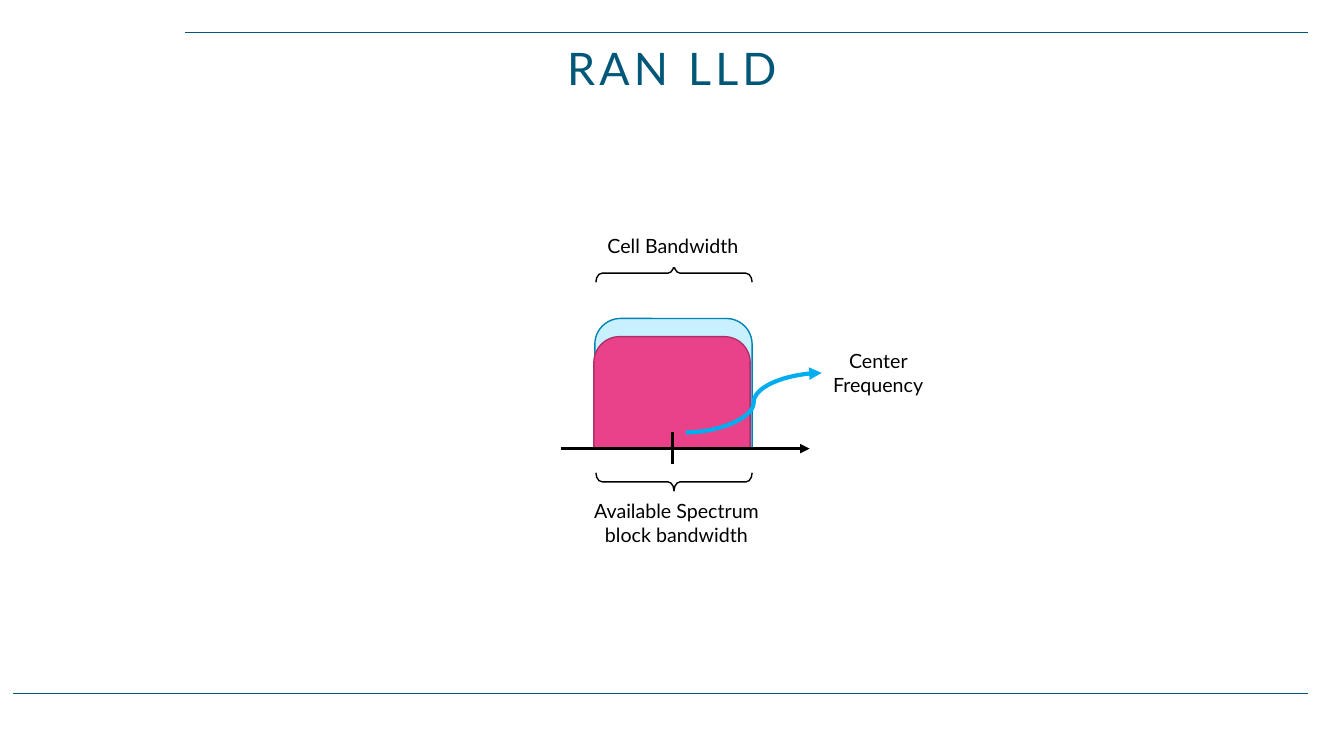
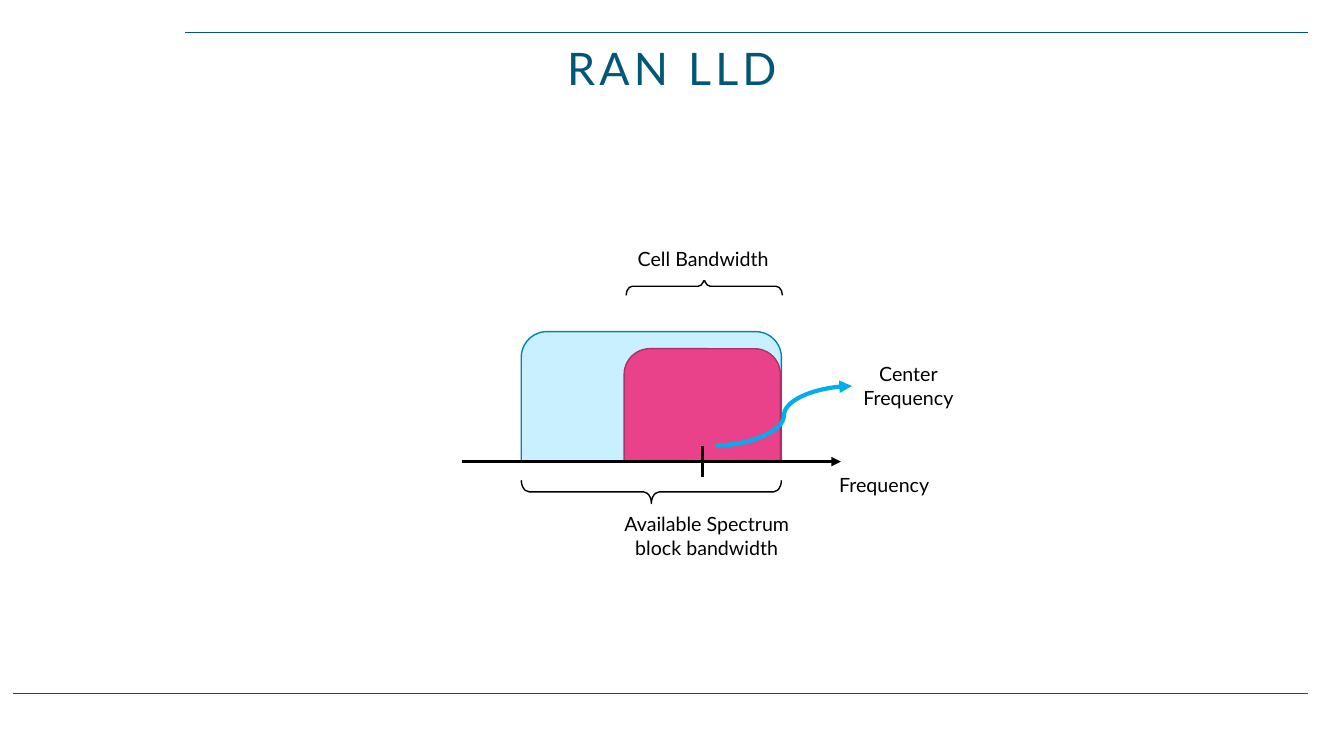
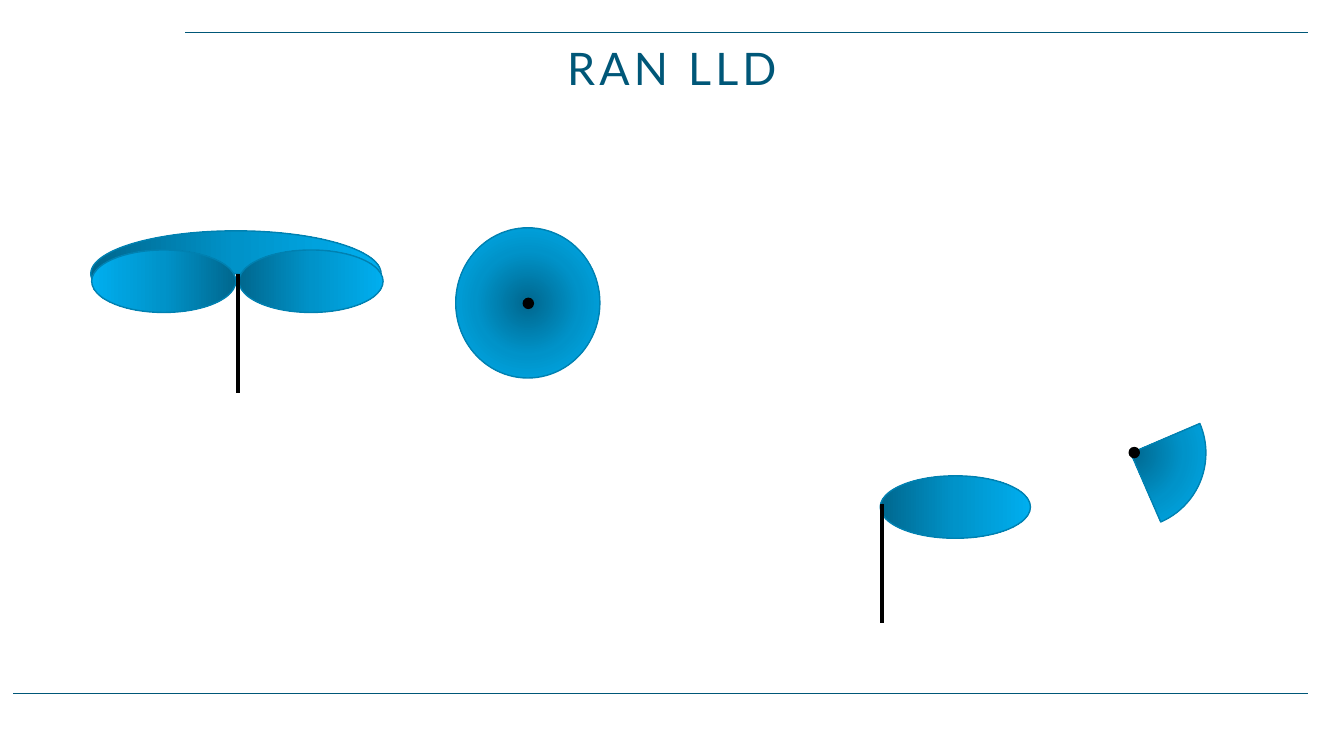
from pptx import Presentation
from pptx.dml.color import RGBColor
from pptx.enum.shapes import MSO_CONNECTOR, MSO_SHAPE
from pptx.enum.text import MSO_ANCHOR, MSO_AUTO_SIZE, PP_ALIGN
from pptx.oxml import parse_xml
from pptx.oxml.ns import nsdecls, qn
from pptx.util import Inches, Pt

WIDTH, HEIGHT = 13.33, 7.5
FONT = "Lato"
TITLE = "RAN LLD"
TEAL, BLACK, WHITE = "005778", "000000", "FFFFFF"
SKY, SKY_EDGE, PINK, PINK_EDGE = "C9F0FF", "0083B3", "EA428A", "AD3166"
ARROW_BLUE, LOBE_EDGE = "00AEEF", "0081B1"
LOBE_STOPS = ((0, "00678E"), (50, "0093C9"), (100, "00AEEF"))

# (x1, y1, x2, y2)
RULES = [(1.84, 0.32, 12.97, 0.32), (0.13, 6.88, 12.97, 6.88)]

# Horizontal positions are offsets from the centre frequency; origin is its point on the axis.
SPECTRUM_SLIDES = [
    {
        "origin": (6.67, 4.45),
        "block": (-0.77, 0.79),
        "cell_top": -1.11,
        "axis": (-1.11, 1.36),
        "block_brace": (-0.76, 0.79, 0.33, 0.18),
        "labels": {"Center Frequency": (1.48, -1.02, 1.12, 0.53)},
    },
    {
        "origin": (6.97, 4.58),
        "block": (-1.8, 0.78),
        "cell_top": -1.12,
        "axis": (-2.39, 1.37),
        "block_brace": (-1.8, 0.78, 0.3, 0.23),
        "labels": {
            "Frequency": (1.24, 0.09, 1.12, 0.28),
            "Center\nFrequency": (1.48, -1.02, 1.12, 0.53),
        },
    },
]
SHARED_LABELS = {
    "Available Spectrum block bandwidth": (-1.07, 0.47, 2.22, 0.53),
    "Cell Bandwidth": (-0.77, -2.23, 1.55, 0.43),
}
CELL_BRACE = (-0.76, 0.79, -1.74, 0.18)

# Antenna patterns: (preset, box, gradient, flipped, adjustments)
LOBES = [
    (MSO_SHAPE.CHORD, None, None, False, ()),
][:0] + [
    ("pie", (0.9, 2.29, 2.88, 0.85), "linear", False, (101.99, 4.3)),
    ("ellipse", (4.52, 2.26, 1.43, 1.49), "circle", False, ()),
    ("ellipse", (2.37, 2.48, 1.43, 0.62), "linear", False, ()),
    ("ellipse", (0.91, 2.48, 1.43, 0.62), "linear", True, ()),
    ("pie", (10.47, 3.75, 1.49, 1.49), "circle", True, (68.1, 121.93)),
    ("ellipse", (8.73, 4.72, 1.49, 0.62), "linear", False, ()),
]
PRESETS = {"pie": MSO_SHAPE.PIE, "ellipse": MSO_SHAPE.OVAL}
MASTS = [(2.36, 2.72), (8.75, 5.0)]
MAST_HEIGHT = 1.18
SITE_DOTS = [(5.24, 3.01), (11.25, 4.49)]
DOT = 0.1


def color(value):
    return RGBColor.from_string(value)


def add_shape(slide, preset, box, fill=None, edge=None):
    shape = slide.shapes.add_shape(preset, *map(Inches, box))
    shape.shadow.inherit = False
    for part, value in ((shape.fill, fill), (shape.line.fill, edge)):
        if value:
            part.solid()
            part.fore_color.rgb = color(value)
        else:
            part.background()
    if edge:
        shape.line.width = Pt(1)
    return shape


def add_line(slide, ends, line_color, width, arrow=False, kind=MSO_CONNECTOR.STRAIGHT):
    connector = slide.shapes.add_connector(kind, *map(Inches, ends))
    connector.line.color.rgb = color(line_color)
    connector.line.width = Pt(width)
    if arrow:
        connector.line._get_or_add_ln().append(
            parse_xml(f'<a:tailEnd {nsdecls("a")} type="triangle"/>'))
    connector._element.spPr.append(parse_xml(f'<a:effectLst {nsdecls("a")}/>'))
    return connector


def format_text(frame, anchor, size, text_color):
    frame.word_wrap = True
    frame.auto_size = MSO_AUTO_SIZE.NONE
    frame.vertical_anchor = anchor
    for paragraph in frame.paragraphs:
        paragraph.alignment = PP_ALIGN.CENTER
        for run in paragraph.runs:
            for name, value in {"name": FONT, "size": Pt(size), "bold": False}.items():
                setattr(run.font, name, value)
            run.font.color.rgb = color(text_color)


def add_label(slide, text, box):
    label = add_shape(slide, MSO_SHAPE.RECTANGLE, box, WHITE)
    frame = label.text_frame
    frame.text = text
    margins = {"margin_left": 0.08, "margin_right": 0.08,
               "margin_top": 0.05, "margin_bottom": 0.05}
    for name, value in margins.items():
        setattr(frame, name, Inches(value))
    format_text(frame, MSO_ANCHOR.MIDDLE, 14, BLACK)


def add_brace(slide, left, right, middle, depth, rotation):
    """Draw a horizontal brace by turning an upright one about its centre."""
    span = right - left
    box = ((left + right - depth) / 2, middle - span / 2, depth, span)
    brace = add_shape(slide, MSO_SHAPE.RIGHT_BRACE, box, edge=BLACK)
    brace.rotation = rotation
    brace.adjustments[0] = 0.34


def fill_gradient(shape, kind):
    stops = "".join(
        f'<a:gs pos="{position * 1000}"><a:srgbClr val="{value}"/></a:gs>'
        for position, value in LOBE_STOPS)
    direction = {
        "linear": '<a:lin ang="0" scaled="1"/>',
        "circle": '<a:path path="circle"><a:fillToRect l="50000" t="50000" '
                  'r="50000" b="50000"/></a:path>',
    }[kind]
    shape.fill.gradient()
    properties = shape._element.spPr
    properties.replace(properties.find(qn("a:gradFill")), parse_xml(
        f'<a:gradFill {nsdecls("a")} rotWithShape="1">'
        f"<a:gsLst>{stops}</a:gsLst>{direction}</a:gradFill>"))


def add_titled_slide(presentation):
    slide = presentation.slides.add_slide(presentation.slide_layouts[5])
    title = slide.shapes.title
    title.text = TITLE
    for name, value in zip(("left", "top", "width", "height"), (0, 0.38, WIDTH, 0.6)):
        setattr(title, name, Inches(value))
    format_text(title.text_frame, MSO_ANCHOR.BOTTOM, 32, TEAL)
    paragraph = title.text_frame.paragraphs[0]
    paragraph.line_spacing = 0.8
    paragraph.runs[0].font._element.set("spc", "300")
    return slide


def add_rules_to_layout(slide):
    """Draw the two rules, then move them to the layout that all slides share."""
    for ends in RULES:
        rule = add_line(slide, ends, TEAL, 1)
        slide.slide_layout.shapes._spTree.append(rule._element)


def draw_spectrum(slide, content):
    x, y = content["origin"]

    def place(left, top, width, height):
        return x + left, y + top, width, height

    block_left, block_right = content["block"]
    add_shape(slide, MSO_SHAPE.ROUNDED_RECTANGLE,
              place(block_left, -1.29, block_right - block_left, 1.53), SKY, SKY_EDGE)
    add_shape(slide, MSO_SHAPE.ROUNDED_RECTANGLE,
              place(-0.78, content["cell_top"], 1.55, 1.53), PINK, PINK_EDGE)
    add_shape(slide, MSO_SHAPE.RECTANGLE, place(-2.73, 0, 4.7, 1.28), WHITE, WHITE)

    axis_start, axis_end = content["axis"]
    add_line(slide, (x + axis_start, y, x + axis_end, y), BLACK, 2.25, arrow=True)
    for brace, rotation in ((CELL_BRACE, 270), (content["block_brace"], 90)):
        left, right, middle, depth = brace
        add_brace(slide, x + left, x + right, y + middle, depth, rotation)
    for text, box in (SHARED_LABELS | content["labels"]).items():
        add_label(slide, text, place(*box))

    add_line(slide, (x, y + 0.15, x, y - 0.16), BLACK, 2.25)
    add_line(slide, (x + 0.13, y - 0.16, x + 1.48, y - 0.75), ARROW_BLUE, 3,
             arrow=True, kind=MSO_CONNECTOR.CURVE)


def draw_antennas(slide):
    for preset, box, gradient, flipped, adjustments in LOBES:
        lobe = add_shape(slide, PRESETS[preset], box, edge=LOBE_EDGE)
        fill_gradient(lobe, gradient)
        for index, value in enumerate(adjustments):
            lobe.adjustments[index] = value
        if flipped:
            lobe._element.spPr.find(qn("a:xfrm")).set("flipH", "1")
    for x, y in SITE_DOTS:
        add_shape(slide, MSO_SHAPE.OVAL, (x - DOT / 2, y - DOT / 2, DOT, DOT), BLACK, BLACK)
    for x, top in MASTS:
        add_line(slide, (x, top, x, top + MAST_HEIGHT), BLACK, 3)


def main():
    presentation = Presentation()
    presentation.slide_width, presentation.slide_height = Inches(WIDTH), Inches(HEIGHT)
    for content in SPECTRUM_SLIDES:
        draw_spectrum(add_titled_slide(presentation), content)
    antenna_slide = add_titled_slide(presentation)
    draw_antennas(antenna_slide)
    add_rules_to_layout(antenna_slide)
    presentation.save("out.pptx")


if __name__ == "__main__":
    main()
